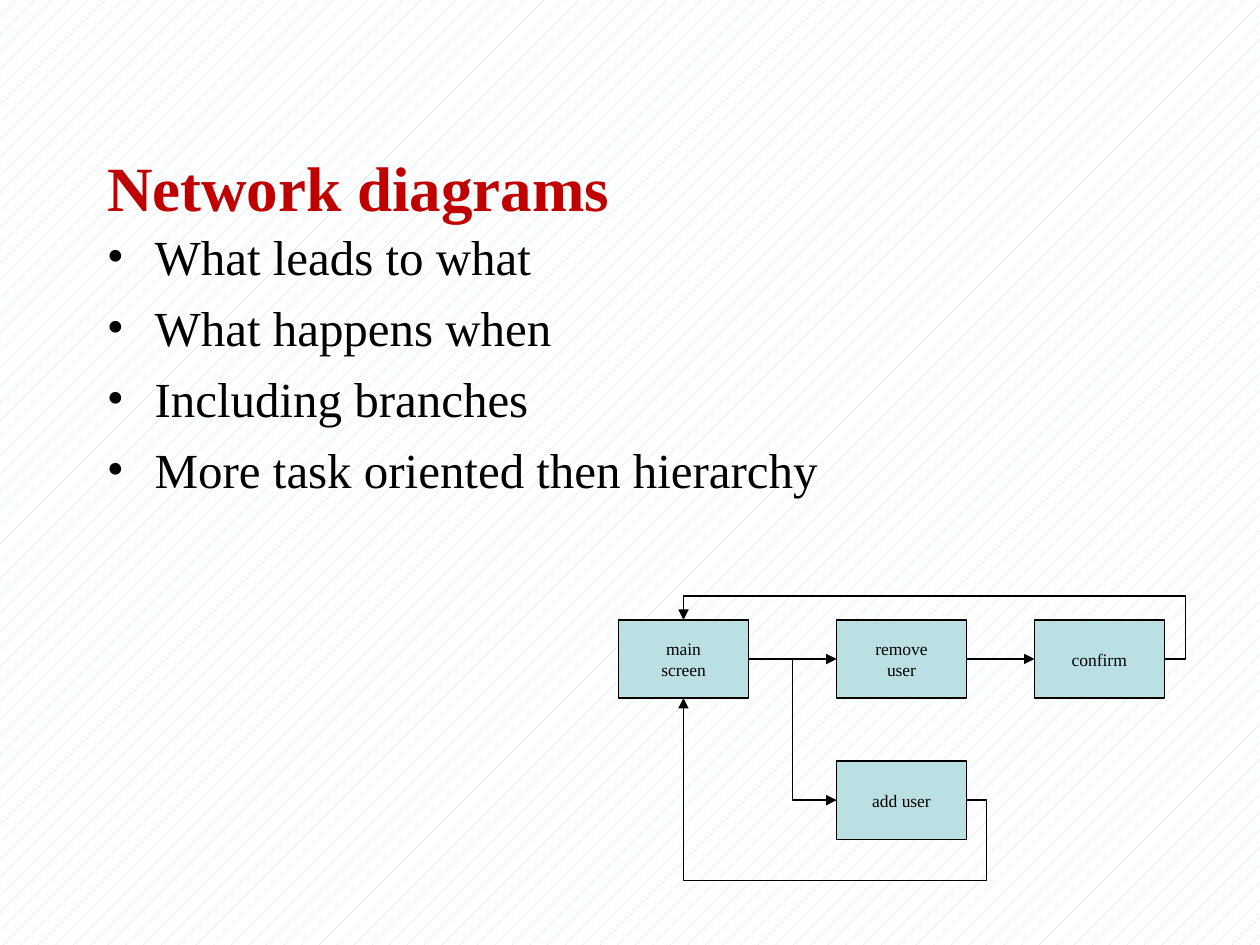
from dataclasses import dataclass

from lxml.etree import SubElement
from pptx import Presentation
from pptx.dml.color import RGBColor
from pptx.enum.dml import MSO_PATTERN as Pattern
from pptx.enum.shapes import MSO_CONNECTOR as Connector, MSO_SHAPE as Shape
from pptx.enum.text import MSO_ANCHOR as Anchor, MSO_AUTO_SIZE as AutoSize, PP_ALIGN as Align
from pptx.oxml.ns import qn
from pptx.util import Inches, Pt

TOP, LEFT, BOTTOM, RIGHT = range(4)


@dataclass(frozen=True)
class Theme:
    font: str = "Times New Roman"
    title_size: int = 36
    body_size: int = 28
    box_size: int = 10
    bullet_gap: int = 7
    line_width: float = 0.75
    title: RGBColor = RGBColor(0xC0, 0x00, 0x00)
    ink: RGBColor = RGBColor(0x00, 0x00, 0x00)
    box: RGBColor = RGBColor(0xBB, 0xE0, 0xE3)
    paper: RGBColor = RGBColor(0xFF, 0xFF, 0xFF)


class DiagramSlide:
    COLUMNS, ROWS = 100, 75

    def __init__(self, presentation, theme):
        self.theme = theme
        self.column = presentation.slide_width / self.COLUMNS
        self.row = presentation.slide_height / self.ROWS
        self.slide = presentation.slides.add_slide(presentation.slide_layouts[5])

    def place(self, left, top, width, height):
        return (round(left * self.column), round(top * self.row),
                round(width * self.column), round(height * self.row))

    def add_run(self, paragraph, text, size, color, bold=False):
        run = paragraph.add_run()
        run.text = text
        font = run.font
        font.name, font.size, font.bold = self.theme.font, Pt(size), bold
        font.color.rgb = color

    def paragraphs(self, frame, lines):
        for index, line in enumerate(lines):
            yield (frame.add_paragraph() if index else frame.paragraphs[0]), line

    def background(self):
        fill = self.slide.background.fill
        fill.patterned()
        fill.pattern = Pattern.PERCENT_5
        fill.fore_color.rgb = self.theme.box
        fill.back_color.rgb = self.theme.paper

    def title(self, text, *area):
        shape = self.slide.shapes.title
        shape.left, shape.top, shape.width, shape.height = self.place(*area)
        frame = shape.text_frame
        frame.auto_size = AutoSize.NONE
        frame.vertical_anchor = Anchor.MIDDLE
        paragraph = frame.paragraphs[0]
        paragraph.alignment = Align.LEFT
        self.add_run(paragraph, text, self.theme.title_size, self.theme.title, True)

    def bullets(self, lines, *area):
        frame = self.slide.shapes.add_textbox(*self.place(*area)).text_frame
        frame.word_wrap = True
        for index, (paragraph, line) in enumerate(self.paragraphs(frame, lines)):
            properties = paragraph._p.get_or_add_pPr()
            properties.set("marL", str(Inches(0.38)))
            properties.set("indent", str(-Inches(0.38)))
            SubElement(properties, qn("a:buFont"), typeface=self.theme.font)
            SubElement(properties, qn("a:buChar"), char="•")
            if index:
                paragraph.space_before = Pt(self.theme.bullet_gap)
            self.add_run(paragraph, line, self.theme.body_size, self.theme.ink)

    def box(self, lines, *area):
        shape = self.slide.shapes.add_shape(Shape.FLOWCHART_PROCESS, *self.place(*area))
        shape.shadow.inherit = False
        shape.fill.solid()
        shape.fill.fore_color.rgb = self.theme.box
        shape.line.color.rgb = self.theme.ink
        shape.line.width = Pt(self.theme.line_width)
        frame = shape.text_frame
        frame.word_wrap = False
        frame.vertical_anchor = Anchor.MIDDLE
        for paragraph, line in self.paragraphs(frame, lines):
            paragraph.alignment = Align.CENTER
            self.add_run(paragraph, line, self.theme.box_size, self.theme.ink)
        return shape

    def arrow(self, start, end, kind=Connector.STRAIGHT, end_site=LEFT):
        connector = self.slide.shapes.add_connector(kind, 0, 0, 0, 0)
        connector.begin_connect(start, RIGHT)
        connector.end_connect(end, end_site)
        connector.line.color.rgb = self.theme.ink
        connector.line.width = Pt(self.theme.line_width)
        SubElement(connector.line._get_or_add_ln(), qn("a:tailEnd"), type="triangle")
        SubElement(connector._element.spPr, qn("a:effectLst"))
        return connector

    def return_arrow(self, start, end, end_site, lane_column, lane_row):
        connector = self.arrow(start, end, Connector.ELBOW, end_site)
        across = ((lane_column * self.column - connector.begin_x)
                  / (connector.end_x - connector.begin_x))
        down = ((lane_row * self.row - connector.begin_y)
                / (connector.end_y - connector.begin_y))
        geometry = connector._element.spPr.find(qn("a:prstGeom"))
        geometry.set("prst", "bentConnector4")
        guides = geometry.find(qn("a:avLst"))
        for name, share in (("adj1", across), ("adj2", down)):
            SubElement(guides, qn("a:gd"), name=name, fmla=f"val {round(share * 100000)}")


def main():
    presentation = Presentation()
    presentation.slide_width, presentation.slide_height = Inches(10), Inches(7.5)
    page = DiagramSlide(presentation, Theme())
    page.background()
    page.title("Network diagrams", 7.5, 10.4, 75, 8.8)
    page.bullets(["What leads to what", "What happens when", "Including branches",
                  "More task oriented then hierarchy"], 7.5, 17.5, 85, 49.2)

    box_size = (10.3, 6.2)
    first_row, second_row = 49.2, 60.4
    main_screen = page.box(["main", "screen"], 49.1, first_row, *box_size)
    remove_user = page.box(["remove", "user"], 66.4, first_row, *box_size)
    confirm = page.box(["confirm"], 82.1, first_row, *box_size)
    add_user = page.box(["add user"], 66.4, second_row, *box_size)

    page.arrow(main_screen, remove_user)
    page.arrow(main_screen, add_user, Connector.ELBOW)
    page.arrow(remove_user, confirm)
    page.return_arrow(confirm, main_screen, TOP, 94.1, 47.3)
    page.return_arrow(add_user, main_screen, BOTTOM, 78.3, 69.9)
    presentation.save("out.pptx")


if __name__ == "__main__":
    main()
